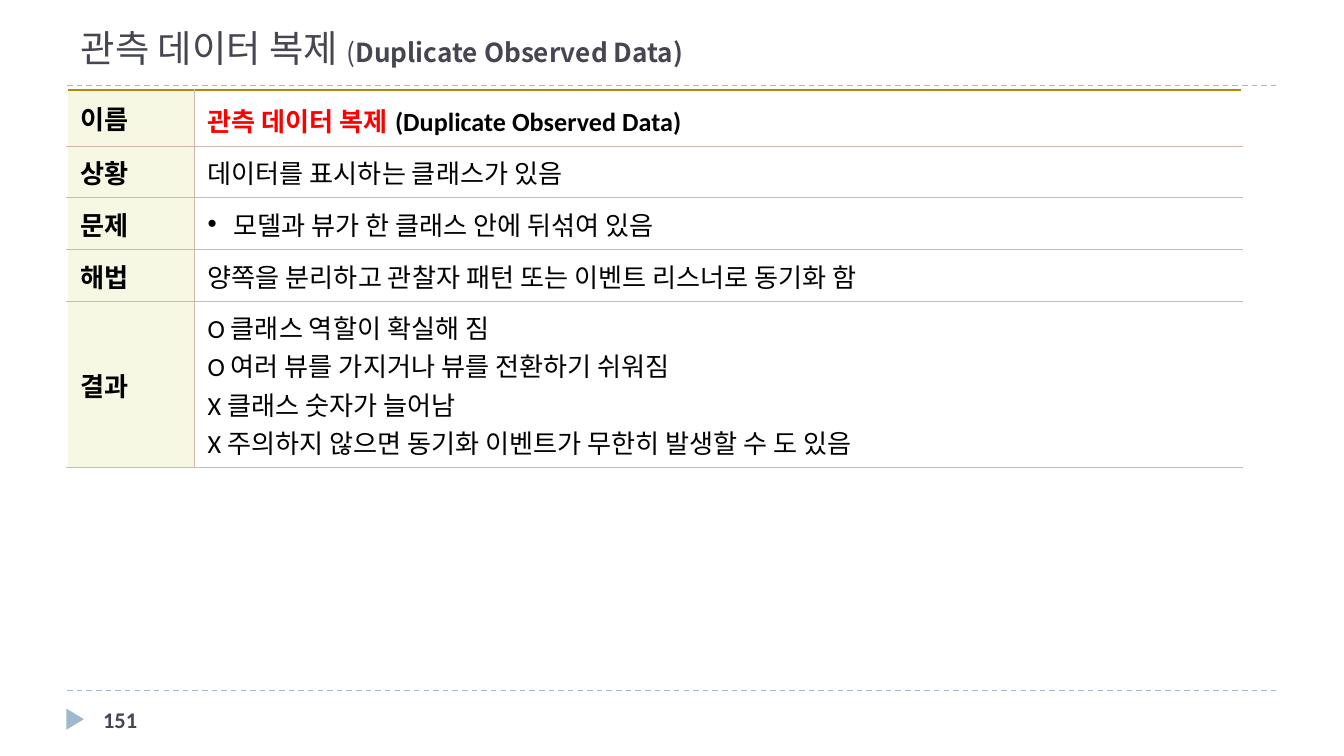
from dataclasses import dataclass

from lxml import etree
from pptx import Presentation
from pptx.dml.color import RGBColor
from pptx.enum.dml import MSO_LINE
from pptx.enum.shapes import MSO_CONNECTOR, MSO_SHAPE
from pptx.enum.text import MSO_ANCHOR, MSO_AUTO_SIZE, PP_ALIGN
from pptx.oxml.ns import qn
from pptx.util import Cm, Pt

DASH = MSO_LINE.DASH
STRAIGHT = MSO_CONNECTOR.STRAIGHT
TRIANGLE = MSO_SHAPE.ISOSCELES_TRIANGLE
MIDDLE, BOTTOM = MSO_ANCHOR.MIDDLE, MSO_ANCHOR.BOTTOM
LEFT = PP_ALIGN.LEFT
TITLE_ONLY = 5


@dataclass(frozen=True)
class Theme:
    latin: str = "Calibri"
    korean: str = "Noto Sans CJK KR"
    heading: str = "464653"
    accent: str = "9FB8CD"
    text: str = "000000"
    key: str = "FF0000"
    label_fill: str = "F6F8E4"
    border: str = "D4B5AA"
    top_border: str = "B38807"
    title_size: int = 20
    body_size: int = 14
    gap_size: int = 16
    number_size: int = 12


THEME = Theme()

# Each row: label, height in cm, paragraphs
ROWS = [
    ("이름", 1.06, None),
    ("상황", 0.98, ["데이터를 표시하는 클래스가 있음"]),
    ("문제", 0.98, ["모델과 뷰가 한 클래스 안에 뒤섞여 있음"]),
    ("해법", 0.98, ["양쪽을 분리하고 관찰자 패턴 또는 이벤트 리스너로 동기화 함"]),
    ("결과", 3.14, ["O 클래스 역할이 확실해 짐",
                  "O 여러 뷰를 가지거나 뷰를 전환하기 쉬워짐",
                  "X 클래스 숫자가 늘어남",
                  "X 주의하지 않으면 동기화 이벤트가 무한히 발생할 수 도 있음"]),
]
BULLETED = "문제"


def format_run(r, size, color, bold=False, latin=THEME.latin):
    r.font.size, r.font.bold, r.font.name = Pt(size), bold, latin
    r.font.color.rgb = RGBColor.from_string(color)
    ea = etree.SubElement(r._r.get_or_add_rPr(), qn("a:ea"))
    ea.set("typeface", THEME.korean)


def add_runs(p, parts, latin=THEME.latin):
    """Add (text, size, color, bold) parts to a paragraph."""
    for text, size, color, bold in parts:
        r = p.add_run()
        r.text = text
        format_run(r, size, color, bold, latin)


def add_rule(s, x, y, w):
    line = s.shapes.add_connector(STRAIGHT, Cm(x), Cm(y), Cm(x + w), Cm(y))
    line.line.color.rgb = RGBColor.from_string(THEME.accent)
    line.line.width = Pt(0.75)
    line.line.dash_style = DASH
    etree.SubElement(line._element.spPr, qn("a:effectLst"))


def set_border(cell, side, color, width):
    ln = etree.SubElement(cell._tc.get_or_add_tcPr(), qn(f"a:ln{side}"), w=str(Pt(width)))
    fill = etree.SubElement(ln, qn("a:solidFill"))
    etree.SubElement(fill, qn("a:srgbClr"), val=color)


def add_bullet(p, indent):
    pPr = p._p.get_or_add_pPr()
    pPr.set("marL", str(Cm(indent)))
    pPr.set("indent", str(-Cm(indent)))
    etree.SubElement(pPr, qn("a:buFont"), typeface="Arial")
    etree.SubElement(pPr, qn("a:buChar"), char="•")


def add_title(s, x, y, w, h):
    title = s.shapes.title
    title.left, title.top, title.width, title.height = Cm(x), Cm(y), Cm(w), Cm(h)
    tf = title.text_frame
    tf.auto_size, tf.vertical_anchor = MSO_AUTO_SIZE.NONE, BOTTOM
    p = tf.paragraphs[0]
    p.alignment = LEFT
    add_runs(p, [
        ("관측 데이터 복제 ", THEME.title_size, THEME.heading, False),
        ("(", THEME.body_size, THEME.heading, False),
        ("Duplicate Observed Data)", THEME.body_size, THEME.heading, True),
    ], THEME.korean)


def style_cell(cell, is_label, is_first, is_last_column):
    cell.vertical_anchor = MIDDLE
    set_border(cell, "R" if not is_last_column else "L", THEME.border, 0.5)
    set_border(cell, "T", *((THEME.top_border, 1) if is_first else (THEME.border, 0.5)))
    set_border(cell, "B", THEME.border, 0.5)
    if is_label:
        cell.fill.solid()
        cell.fill.fore_color.rgb = RGBColor.from_string(THEME.label_fill)
    else:
        cell.fill.background()


def add_pattern_table(s, x, y, w, label_w):
    height = sum(row[1] for row in ROWS)
    table = s.shapes.add_table(len(ROWS), 2, Cm(x), Cm(y), Cm(w), Cm(height)).table
    table.first_row = table.horz_banding = False
    table.columns[0].width, table.columns[1].width = Cm(label_w), Cm(w - label_w)
    for i, (label, row_h, lines) in enumerate(ROWS):
        table.rows[i].height = Cm(row_h)
        name, detail = table.cell(i, 0), table.cell(i, 1)
        style_cell(name, True, i == 0, False)
        style_cell(detail, False, i == 0, True)
        name.text_frame.text = label
        format_run(name.text_frame.paragraphs[0].runs[0], THEME.body_size, THEME.text, True)
        tf = detail.text_frame
        if lines is None:
            add_runs(tf.paragraphs[0], [
                ("관측 데이터 복제", THEME.body_size, THEME.key, True),
                (" ", THEME.gap_size, THEME.text, True),
                ("(Duplicate Observed Data)", THEME.body_size, THEME.text, True),
            ])
            continue
        tf.text = "\n".join(lines)
        for p in tf.paragraphs:
            format_run(p.runs[0], THEME.body_size, THEME.text)
            if label == BULLETED:
                add_bullet(p, 0.48)


def add_footer(s, x, y, w):
    """Draw the lower rule, the marker and the page number."""
    add_rule(s, x, y, w)
    marker = s.shapes.add_shape(TRIANGLE, Cm(x - 0.05), Cm(y + 0.38), Cm(0.4), Cm(0.33))
    marker.rotation = 90
    marker.shadow.inherit = False
    marker.fill.solid()
    marker.fill.fore_color.rgb = RGBColor.from_string(THEME.accent)
    marker.line.fill.background()
    box = s.shapes.add_textbox(Cm(x + 0.43), Cm(y + 0.18), Cm(5.51), Cm(0.76))
    tf = box.text_frame
    tf.word_wrap, tf.vertical_anchor = True, MIDDLE
    tf.text = "151"
    format_run(tf.paragraphs[0].runs[0], THEME.number_size, THEME.heading, True)


def main():
    prs = Presentation()
    prs.slide_width, prs.slide_height = Cm(25.4), Cm(14.29)
    s = prs.slides.add_slide(prs.slide_layouts[TITLE_ONLY])
    left, width = 1.27, 22.86
    add_rule(s, left, 1.62, width)
    add_footer(s, left, 13.05, width)
    add_pattern_table(s, left, 1.7, 22.2, 2.4)
    add_title(s, left, 0.33, width, 1.12)
    prs.save("out.pptx")


if __name__ == "__main__":
    main()
